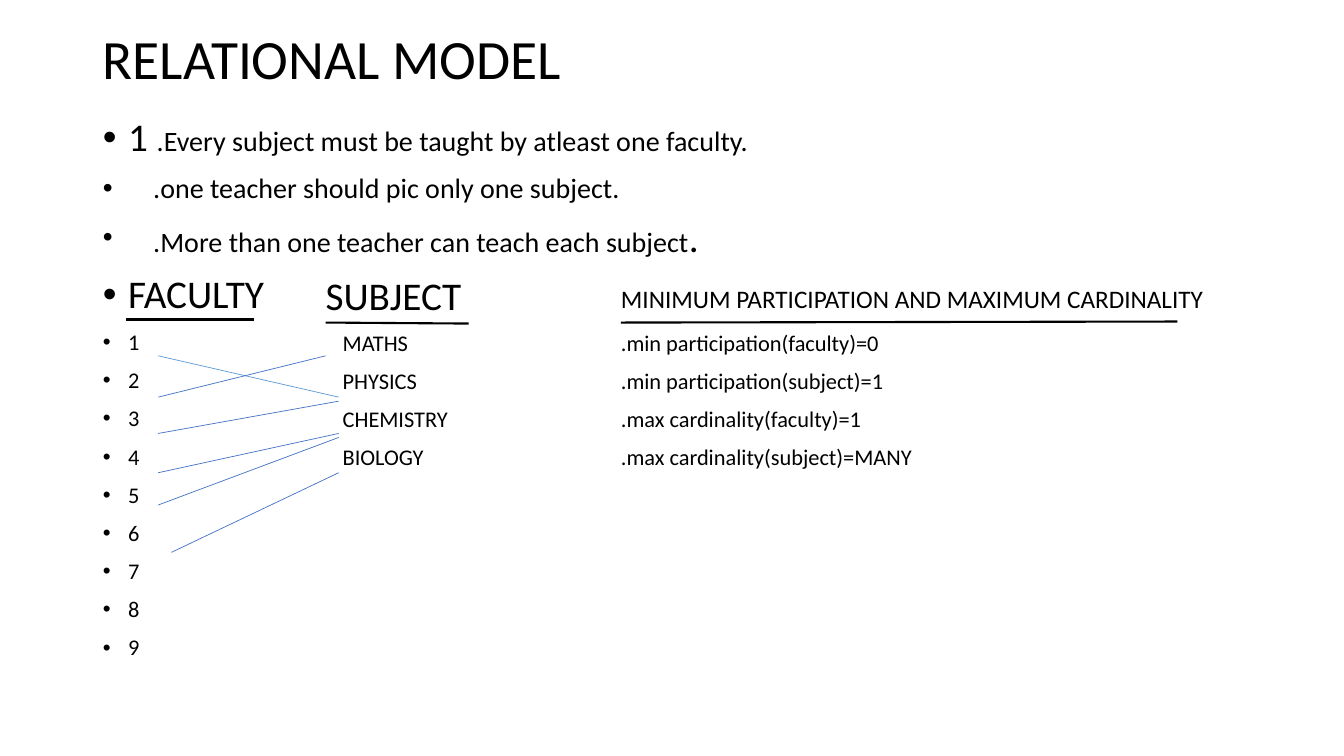
import pptx
import pptx.dml.color
import pptx.enum.shapes
import pptx.enum.text
import pptx.oxml.ns
import pptx.util
from lxml import etree

WIDTH = pptx.util.Inches(13.33)
HEIGHT = pptx.util.Inches(7.5)
COLUMNS, ROWS = 160, 90
MARGIN, CONTENT_WIDTH = 12.24, 135.6
SUBJECT, PARTICIPATION = 38.76, 73.92
FACULTY_EDGE, SUBJECT_EDGE = 18.84, 40.32
FIRST_ROW = 39.5
BLACK, BLUE, LIGHT_BLUE = "000000", "4472C4", "5B9BD5"

STATEMENTS = [
    (0.25, [("1 ", 28), (".Every subject must be taught by atleast one faculty.", 20)]),
    (0.5, [(".one teacher should pic only one subject.", 20)]),
    (0.5, [(".More than one teacher can teach each subject", 20), (".", 28)]),
    (0.25, [("FACULTY", 28)]),
]
SUBJECTS = ["MATHS", "PHYSICS", "CHEMISTRY", "BIOLOGY"]
RULES = [
    ".min participation(faculty)=0",
    ".min participation(subject)=1",
    ".max cardinality(faculty)=1",
    ".max cardinality(subject)=MANY",
]
UNDERLINES = [
    (30.24, 38.04, 15, 38.04),
    (SUBJECT, 38.4, 55.8, 38.52),
    (PARTICIPATION, 38.4, 140.16, 38.28),
]
MAPPINGS = [
    (SUBJECT_EDGE, 47.28, FACULTY_EDGE, 42.36, LIGHT_BLUE),
    (FACULTY_EDGE, 47.28, SUBJECT, 42.36, BLUE),
    (FACULTY_EDGE, 51.6, SUBJECT_EDGE, 47.76, BLUE),
    (FACULTY_EDGE, 56.28, SUBJECT_EDGE, 51.6, BLUE),
    (FACULTY_EDGE, 60.12, SUBJECT_EDGE, 52.08, BLUE),
    (SUBJECT_EDGE, 56.28, 20.4, 65.76, BLUE),
]


def across(columns):
    """Return the length of a number of grid columns."""
    return round(WIDTH * columns / COLUMNS)


def down(rows):
    """Return the length of a number of grid rows."""
    return round(HEIGHT * rows / ROWS)


def color(value):
    """Return the colour for a hex string."""
    return pptx.dml.color.RGBColor.from_string(value)


def add_box(page, left, top, width, height, anchor="TOP"):
    """Add a wrapping text box without insets and return its text frame."""
    box = page.shapes.add_textbox(across(left), down(top), across(width), down(height))
    frame = box.text_frame
    frame.word_wrap = True
    frame.margin_left = frame.margin_right = frame.margin_top = frame.margin_bottom = 0
    frame.vertical_anchor = pptx.enum.text.MSO_ANCHOR[anchor]
    return frame


def add_span(para, text, size=16, font="Calibri", fill=BLACK):
    """Add formatted text to a paragraph."""
    span = para.add_run()
    span.text = text
    span.font.size = pptx.util.Pt(size)
    span.font.name = font
    span.font.color.rgb = color(fill)


def add_bullet(para, indent):
    """Give a paragraph a bullet with a hanging indent in inches."""
    properties = para._p.get_or_add_pPr()
    properties.set("marL", str(pptx.util.Inches(indent)))
    properties.set("indent", str(-pptx.util.Inches(indent)))
    for tag, name, value in (("a:buFont", "typeface", "Arial"), ("a:buChar", "char", "\u2022")):
        etree.SubElement(properties, pptx.oxml.ns.qn(tag)).set(name, value)


def add_paras(frame, lines):
    """Fill a frame with lines, each a bullet indent and its sized texts."""
    for number, (indent, spans) in enumerate(lines):
        para = frame.add_paragraph() if number else frame.paragraphs[0]
        para.line_spacing = 0.9
        para.space_before = pptx.util.Pt(10)
        if indent:
            add_bullet(para, indent)
        for text, size in spans:
            add_span(para, text, size=size)


def plain_lines(texts, size=16, indent=0):
    """Return one line per text, all in the same size and indent."""
    return [(indent, [(text, size)]) for text in texts]


def add_line(page, start_x, start_y, end_x, end_y, stroke=BLACK, weight=1.5):
    """Add a straight line without a shadow."""
    line = page.shapes.add_connector(
        pptx.enum.shapes.MSO_CONNECTOR.STRAIGHT,
        across(start_x), down(start_y), across(end_x), down(end_y))
    line.line.color.rgb = color(stroke)
    line.line.width = pptx.util.Pt(weight)
    etree.SubElement(line.element.spPr, pptx.oxml.ns.qn("a:effectLst"))


def main():
    """Build the relational model slide and save it."""
    deck = pptx.Presentation()
    deck.slide_width, deck.slide_height = WIDTH, HEIGHT
    page = deck.slides.add_slide(deck.slide_layouts[6])

    title = add_box(page, MARGIN, 4.32, CONTENT_WIDTH, 6, anchor="MIDDLE")
    add_paras(title, plain_lines(["RELATIONAL MODEL"], size=39.6))
    body = add_box(page, MARGIN, 14.04, CONTENT_WIDTH, 66.36)
    faculty = plain_lines([str(number) for number in range(1, 10)], indent=0.25)
    add_paras(body, STATEMENTS + faculty)

    for left, top, width, height, texts, size in (
        (SUBJECT, 32.9, 30, 5, ["SUBJECT"], 28),
        (40.8, FIRST_ROW, 30, 18, SUBJECTS, 16),
        (PARTICIPATION, 34.1, 74, 4, ["MINIMUM PARTICIPATION AND MAXIMUM CARDINALITY"], 18),
        (PARTICIPATION, FIRST_ROW, 74, 18, RULES, 16),
    ):
        add_paras(add_box(page, left, top, width, height), plain_lines(texts, size=size))

    for ends in UNDERLINES:
        add_line(page, *ends)
    for *ends, stroke in MAPPINGS:
        add_line(page, *ends, stroke=stroke, weight=0.5)
    deck.save("out.pptx")


main()
